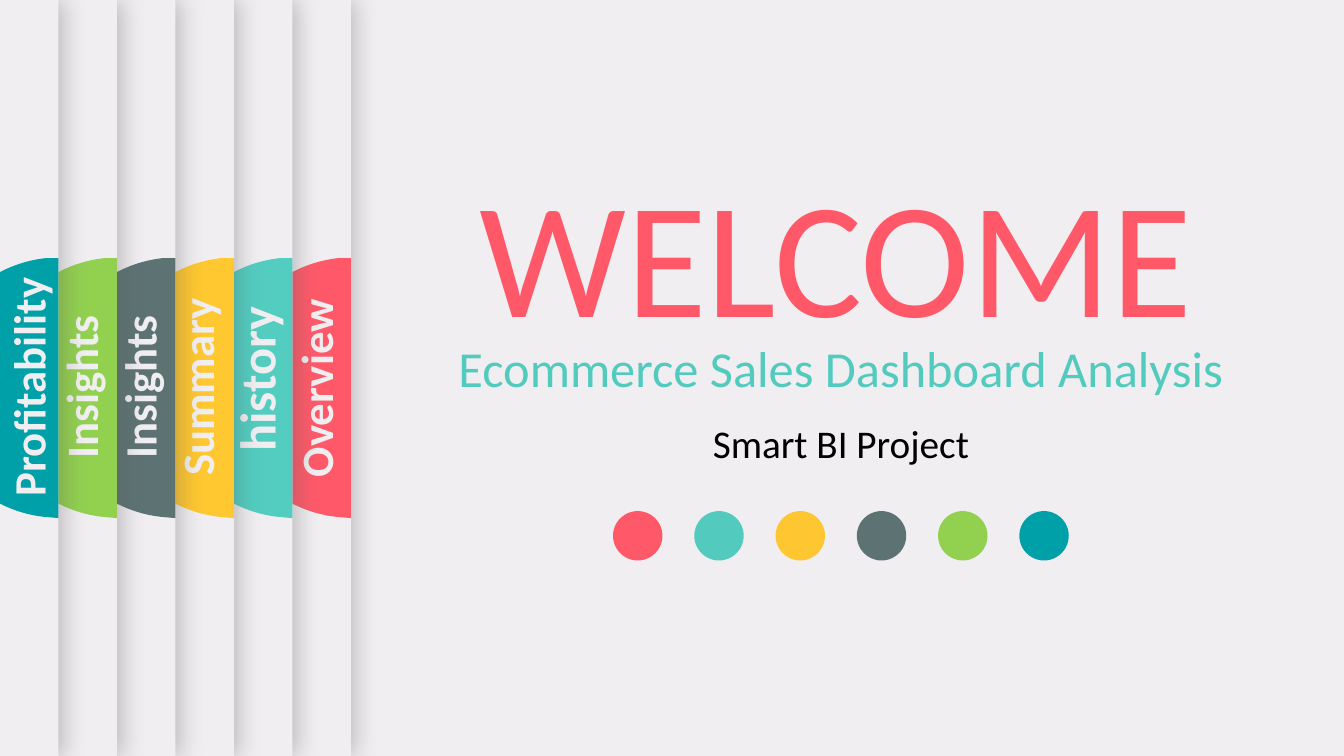
from dataclasses import dataclass

from lxml import etree
from pptx import Presentation
from pptx import util as u
from pptx.dml.color import RGBColor
from pptx.enum import shapes, text
from pptx.oxml import ns


@dataclass(frozen=True)
class Theme:
    font: str = "Calibri"
    paper: str = "F0EEF0"
    black: str = "000000"
    coral: str = "FF5969"
    teal: str = "52CBBE"
    yellow: str = "FEC630"
    slate: str = "5D7373"
    green: str = "92D050"
    blue: str = "00A0A8"
    tab_teal: str = "52CDC0"
    tab_yellow: str = "FFC730"
    shadow: str = "595959"
    title: int = 118
    subtitle: int = 36
    note: int = 28
    tab: int = 32
    tab_large: int = 36


theme = Theme()


def add_text(words, parent, x, y, w, h, size, color, bold=False, rotation=0):
    tb = parent.shapes.add_textbox(u.Inches(x), u.Inches(y), u.Inches(w), u.Inches(h))
    tb.rotation = rotation
    tf = tb.text_frame
    tf.word_wrap = True
    tf.auto_size = text.MSO_AUTO_SIZE.SHAPE_TO_FIT_TEXT
    p = tf.paragraphs[0]
    p.alignment = text.PP_ALIGN.CENTER
    r = p.add_run()
    r.text = words
    r.font.name = theme.font
    r.font.size = u.Pt(size)
    r.font.bold = bold
    r.font.color.rgb = RGBColor.from_string(color)


def paint(sp, color):
    """Give a shape a plain fill with no outline and no shadow."""
    sp.shadow.inherit = False
    sp.fill.solid()
    sp.fill.fore_color.rgb = RGBColor.from_string(color)
    sp.line.fill.background()


prs = Presentation()
prs.slide_width, prs.slide_height = u.Inches(13.33), u.Inches(7.5)
slide = prs.slides.add_slide(prs.slide_layouts[6])
slide.background.fill.solid()
slide.background.fill.fore_color.rgb = RGBColor.from_string(theme.paper)

# Heading and row of dots
add_text("WELCOME", slide, 4.31, 1.46, 7.96, 2.09, theme.title, theme.coral)
dots = slide.shapes.add_group_shape()
dot_colors = [theme.coral, theme.teal, theme.yellow, theme.slate, theme.green, theme.blue]
for i, color in enumerate(dot_colors):
    dot = dots.shapes.add_shape(shapes.MSO_SHAPE.OVAL, u.Inches(6.08 + 4.03 * i / 5),
                                u.Inches(5.07), u.Inches(0.49), u.Inches(0.49))
    paint(dot, color)
add_text("Ecommerce Sales Dashboard Analysis", slide, 4.36, 3.29, 7.96, 0.71,
         theme.subtitle, theme.teal)
add_text("Smart BI Project", slide, 4.36, 4.11, 7.96, 0.57, theme.note, theme.black)

# Tab outline as offsets from the panel's right edge; the last six points shape two curves
TAB_TOP = 2.56
OUTLINE = [(0, 5.14), (-0.12, 5.13),
           (-0.77, 5.07), (-1.28, 4.52), (-1.28, 3.85),
           (-1.28, 3.18), (-0.77, 2.63), (-0.12, 2.56)]

# Stacked panels: label, tab colour, type size, panel left,
# label width, label centre from right edge, label centre y
PANEL_STEP = 0.58
panels = [
    ("Overview", theme.coral, theme.tab, -10.17, 2.18, 0.35, 3.85),
    ("history", theme.tab_teal, theme.tab_large, -9.62, 2.18, 0.36, 3.76),
    ("Summary", theme.tab_yellow, theme.tab, -8.58, 2.18, 0.37, 3.84),
    ("Insights", theme.slate, theme.tab, -8.73, 2.18, 0.36, 3.84),
    ("Insights", theme.green, theme.tab, -8.35, 2.18, 0.36, 3.84),
    ("Profitability", theme.blue, theme.tab, -10.27, 2.42, 0.3, 3.84),
]
for i, (label, color, size, left, label_w, inset, middle) in enumerate(panels):
    edge = PANEL_STEP * (len(panels) - i)
    group = slide.shapes.add_group_shape()

    panel = group.shapes.add_shape(shapes.MSO_SHAPE.RECTANGLE, u.Inches(left), 0,
                                   u.Inches(edge - left), prs.slide_height)
    paint(panel, theme.paper)
    effects = panel._element.spPr.find(ns.qn("a:effectLst"))
    shadow = etree.SubElement(effects, ns.qn("a:outerShdw"), blurRad=str(u.Pt(17)),
                              dist=str(u.Pt(3)), dir="0", algn="l", rotWithShape="0")
    shade = etree.SubElement(shadow, ns.qn("a:srgbClr"), val=theme.shadow)
    etree.SubElement(shade, ns.qn("a:alpha"), val="35000")

    fb = group.shapes.build_freeform(u.Inches(edge), u.Inches(TAB_TOP))
    fb.add_line_segments([(u.Inches(edge + dx), u.Inches(y)) for dx, y in OUTLINE])
    tab = fb.convert_to_shape()
    paint(tab, color)
    lines = list(tab._element.iter(ns.qn("a:lnTo")))[2:]
    for first in (0, 3):
        curve = etree.Element(ns.qn("a:cubicBezTo"))
        lines[first].addprevious(curve)
        for line in lines[first:first + 3]:
            curve.append(line[0])
            line.getparent().remove(line)

    label_h = 0.71 if size == theme.tab_large else 0.64
    add_text(label, group, edge - inset - label_w / 2, middle - label_h / 2,
             label_w, label_h, size, theme.paper, bold=True, rotation=270)

prs.save("out.pptx")
